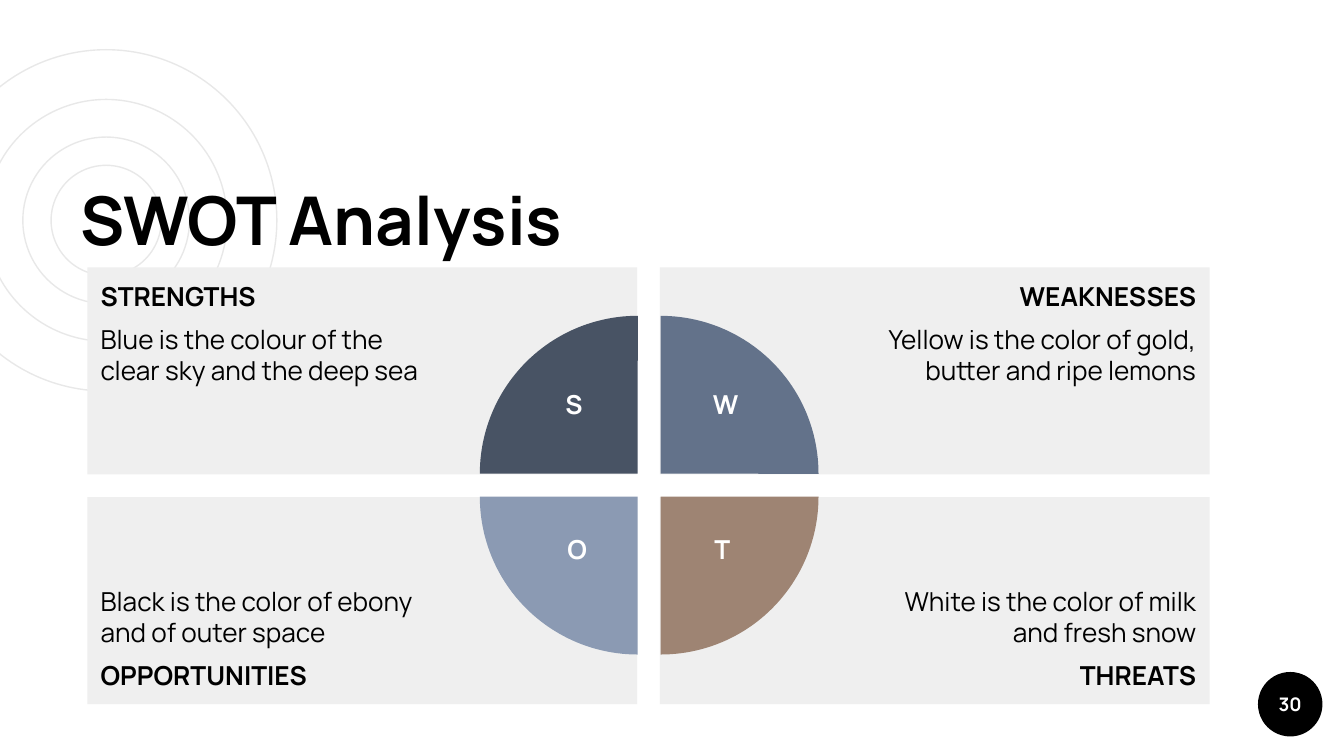
from pptx import Presentation
from pptx.dml.color import RGBColor
from pptx.enum.shapes import MSO_SHAPE
from pptx.enum.text import MSO_ANCHOR, PP_ALIGN
from pptx.util import Inches, Pt

OVAL, RECTANGLE, PIE = MSO_SHAPE.OVAL, MSO_SHAPE.RECTANGLE, MSO_SHAPE.PIE
TOP, MIDDLE, BOTTOM = MSO_ANCHOR.TOP, MSO_ANCHOR.MIDDLE, MSO_ANCHOR.BOTTOM
LEFT, CENTER, RIGHT = PP_ALIGN.LEFT, PP_ALIGN.CENTER, PP_ALIGN.RIGHT

presentation = Presentation()
presentation.slide_width = Inches(10)
presentation.slide_height = presentation.slide_width * 9 // 16
slide = presentation.slides.add_slide(presentation.slide_layouts[6])


def add_shape(kind, left, top, width, height, fill=None, line=None):
    shape = slide.shapes.add_shape(
        kind, Inches(left), Inches(top), Inches(width), Inches(height))
    shape.shadow.inherit = False
    if fill:
        shape.fill.solid()
        shape.fill.fore_color.rgb = RGBColor.from_string(fill)
    else:
        shape.fill.background()
    if line:
        shape.line.color.rgb = RGBColor.from_string(line)
        shape.line.width = Pt(0.75)
    else:
        shape.line.fill.background()
    return shape


def write(shape, lines, size, color, alignment, anchor, margins=(0.1, 0.1, 0.1, 0.1)):
    frame = shape.text_frame
    frame.word_wrap = True
    frame.vertical_anchor = anchor
    frame.margin_left, frame.margin_top, frame.margin_right, frame.margin_bottom = map(Inches, margins)
    frame.text = "\n".join(text for text, bold in lines)
    for index, (paragraph, (text, bold)) in enumerate(zip(frame.paragraphs, lines)):
        paragraph.alignment = alignment
        if index:
            paragraph.space_before = paragraph.space_after = Pt(6)
        font = paragraph.runs[0].font
        font.name = "Manrope"
        font.size = Pt(size)
        font.bold = bold
        font.color.rgb = RGBColor.from_string(color)


ring_x, ring_y = 0.79, 1.64
for diameter in (2.54, 1.8, 1.24, 0.82):
    add_shape(OVAL, ring_x - diameter / 2, ring_y - diameter / 2, diameter, diameter, line="E8E8E8")

page_number = add_shape(OVAL, 9.36, 5, 0.48, 0.48, fill="000000")
write(page_number, [("30", True)], 10, "FFFFFF", CENTER, MIDDLE, (0, 0, 0, 0))

title = slide.shapes.add_textbox(Inches(0.5), Inches(1.28), Inches(5.71), Inches(0.75))
write(title, [("SWOT Analysis", True)], 36, "000000", LEFT, BOTTOM)

panel_left, panel_top, panel_width, panel_height = 0.65, 1.99, 4.09, 1.54
gap, pie_size = 0.17, 2.35
pie_left, pie_top = 3.57, 2.35

quadrants = [
    (0, 0, "STRENGTHS", "Blue is the colour of the clear sky and the deep sea", "485364", 0, 4.11, 0.32),
    (1, 0, "WEAKNESSES", "Yellow is the color of gold, butter and ripe lemons", "63728A", 90, 5.1, 0.6),
    (0, 1, "OPPORTUNITIES", "Black is the color of ebony and of outer space", "8B9AB3", 270, 4.08, 0.43),
    (1, 1, "THREATS", "White is the color of milk and fresh snow", "9E8473", 180, 5.21, 0.33),
]

for column, row, heading, body, color, rotation, letter_left, letter_width in quadrants:
    panel = add_shape(RECTANGLE, panel_left + column * (panel_width + gap),
                      panel_top + row * (panel_height + gap), panel_width, panel_height, fill="EFEFEF")
    lines = [(heading, True), (body, False)]
    write(panel, lines[::-1] if row else lines, 14, "000000",
          RIGHT if column else LEFT, BOTTOM if row else TOP,
          (1.5, 0.1, 0.1, 0.1) if column else (0.1, 0.1, 1.5, 0.1))

    quarter = add_shape(PIE, pie_left + column * gap, pie_top + row * gap, pie_size, pie_size, fill=color)
    quarter.adjustments[0] = 108
    quarter.adjustments[1] = 162
    quarter.rotation = rotation

    letter = slide.shapes.add_textbox(
        Inches(letter_left), Inches(2.84 + row * 1.08), Inches(letter_width), Inches(0.43))
    write(letter, [(heading[0], True)], 14, "FFFFFF", CENTER, TOP, (0, 0.05, 0, 0.05))

presentation.save("out.pptx")
